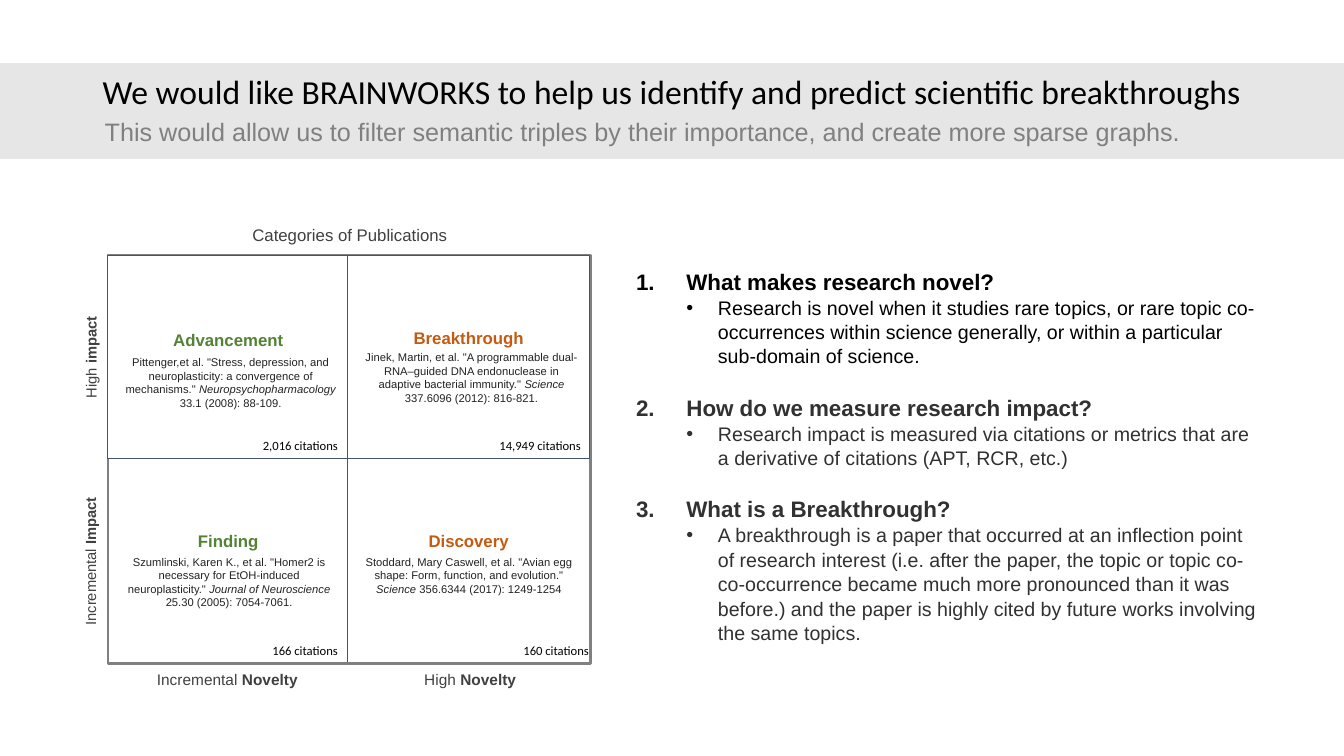
import pptx
import pptx.dml.color
import pptx.enum.shapes
import pptx.enum.text
import pptx.util
import lxml.etree

Pt = pptx.util.Pt
ALIGN = pptx.enum.text.PP_ALIGN
ANCHOR = pptx.enum.text.MSO_ANCHOR

COLORS = {
    "black": "000000", "band": "E7E6E6", "subtitle": "808080", "label": "404040",
    "frame": "808080", "cell_line": "44546A", "white": "FFFFFF", "green": "548235",
    "orange": "C55A11", "citation": "222222", "list": "313131",
}


class SlideBuilder:
    """Holds the style and the current slide."""

    def __init__(self, deck, layout_index):
        self.page = deck.slides.add_slide(deck.slide_layouts[layout_index])

    def color(self, name):
        return pptx.dml.color.RGBColor.from_string(COLORS[name])

    def style(self, font, size, color, bold=False, italic=False, face="Arial"):
        font.name, font.size, font.bold, font.italic = face, Pt(size), bold, italic
        font.color.rgb = self.color(color)

    def place(self, shape, left, top, width, height):
        shape.left, shape.top, shape.width, shape.height = map(Pt, (left, top, width, height))

    def frame(self, shape, anchor, inset=None):
        frame = shape.text_frame
        frame.word_wrap = True
        frame.auto_size = pptx.enum.text.MSO_AUTO_SIZE.NONE
        frame.vertical_anchor = anchor
        if inset is not None:
            frame.margin_left = frame.margin_right = Pt(inset)
            frame.margin_top = frame.margin_bottom = Pt(inset)
        return frame

    def title(self, text, rect, size):
        box = self.page.shapes.title
        self.place(box, *rect)
        frame = self.frame(box, ANCHOR.MIDDLE)
        frame.text = text
        para = frame.paragraphs[0]
        para.alignment, para.line_spacing = ALIGN.LEFT, 0.9
        self.style(para.runs[0].font, size, "black", face="Calibri")

    def rect(self, rect, fill, line, weight):
        shape = self.page.shapes.add_shape(
            pptx.enum.shapes.MSO_SHAPE.RECTANGLE, *map(Pt, rect))
        shape.shadow.inherit = False
        if fill:
            shape.fill.solid()
            shape.fill.fore_color.rgb = self.color(fill)
        else:
            shape.fill.background()
        shape.line.color.rgb = self.color(line)
        shape.line.width = Pt(weight)
        return shape

    def cell(self, rect, name, color, lift):
        shape = self.rect(rect, "white", "cell_line", 0.75)
        frame = self.frame(shape, ANCHOR.MIDDLE, 7.2)
        frame.margin_bottom = Pt(7.2 + lift)
        frame.text = name
        frame.paragraphs[0].alignment = ALIGN.CENTER
        self.style(frame.paragraphs[0].runs[0].font, 12, color, bold=True)

    def text(self, rect, parts, size, color, align=ALIGN.CENTER, face="Arial",
             anchor=ANCHOR.TOP, spacing=None, inset=None, emphasis=None):
        """Write the parts as runs; the second one carries the emphasis."""
        box = self.page.shapes.add_textbox(*map(Pt, rect))
        para = self.frame(box, anchor, inset).paragraphs[0]
        para.alignment = align
        para.line_spacing = spacing
        for index, part in enumerate(parts):
            span = para.add_run()
            span.text = part
            marks = {emphasis: True} if emphasis and index == 1 else {}
            self.style(span.font, size, color, face=face, **marks)
        return box

    def axis_label(self, rect, parts, size, rotation=0):
        box = self.text(rect, parts, size, "label", spacing=1.05, inset=7.2, emphasis="bold")
        box.rotation = rotation

    def bullet(self, para, margin, hang, tag, **attributes):
        props = para._p.get_or_add_pPr()
        props.set("marL", str(Pt(margin)))
        props.set("indent", str(Pt(-hang)))
        space = "{http://schemas.openxmlformats.org/drawingml/2006/main}"
        lxml.etree.SubElement(props, space + "buFont", typeface="Arial")
        lxml.etree.SubElement(props, space + tag, **attributes)

    def questions(self, rect, items):
        box = self.page.placeholders[1]
        self.place(box, *rect)
        frame = self.frame(box, ANCHOR.TOP)
        for index, (question, answer, color) in enumerate(items):
            head = frame.add_paragraph() if index else frame.paragraphs[0]
            head.text = question
            self.bullet(head, 36, 36, "buAutoNum", type="arabicPeriod")
            head.space_before = Pt(18.5 if index else 0)
            self.style(head.runs[0].font, 16, color, bold=True)
            detail = frame.add_paragraph()
            detail.text, detail.level = answer, 1
            self.bullet(detail, 58.5, 22.5, "buChar", char="•")
            detail.space_before, detail.line_spacing = Pt(0), 1.04
            self.style(detail.runs[0].font, 14, color)
        for para in frame.paragraphs:
            para.alignment = ALIGN.LEFT


# Matrix geometry
COLUMNS = (76.7, 248.4)
ROWS = (182.2, 327.6)
CELL = (172.8, 145.4)

# Column, row, name, colour, lift of the name, citation box, citation, count, right edge
CATEGORIES = [
    (0, 1, "Finding", "green", 28, (78.5, 393.1, 170.6, 46.1),
     ('Szumlinski, Karen K., et al. "Homer2 is necessary for EtOH-induced neuroplasticity." ',
      "Journal of Neuroscience", " 25.30 (2005): 7054-7061."), "166 citations", 248.4),
    (1, 1, "Discovery", "orange", 28, (249.8, 393.1, 170.6, 46.1),
     ('Stoddard, Mary Caswell, et al. "Avian egg shape: Form, function, and evolution." ',
      "Science", " 356.6344 (2017): 1249-1254"), "160 citations", 427.7),
    (0, 0, "Advancement", "green", 24, (82.1, 250.6, 165.6, 46.1),
     ('Pittenger,et al. "Stress, depression, and neuroplasticity: a convergence of mechanisms." ',
      "Neuropsychopharmacology", " 33.1 (2008): 88-109."), "2,016 citations", 248.4),
    (1, 0, "Breakthrough", "orange", 27, (253.4, 247, 167, 55.4),
     ('Jinek, Martin, et al. "A programmable dual-RNA–guided DNA endonuclease in adaptive '
      'bacterial immunity." ',
      "Science", " 337.6096 (2012): 816-821."), "14,949 citations", 421.9),
]

QUESTIONS = [
    ("What makes research novel?",
     "Research is novel when it studies rare topics, or rare topic co-occurrences within "
     "science generally, or within a particular sub-domain of science.", "black"),
    ("How do we measure research impact?",
     "Research impact is measured via citations or metrics that are a derivative of "
     "citations (APT, RCR, etc.)", "list"),
    ("What is a Breakthrough?",
     "A breakthrough is a paper that occurred at an inflection point of research interest "
     "(i.e. after the paper, the topic or topic co-co-occurrence became much more pronounced "
     "than it was before.) and the paper is highly cited by future works involving the same "
     "topics.", "list"),
]


def main():
    deck = pptx.Presentation()
    deck.slide_width, deck.slide_height = Pt(960), Pt(540)
    builder = SlideBuilder(deck, 1)

    # Heading band, kept behind the title
    band = builder.rect((0, 45.4, 960, 67.7), "band", "band", 1)
    builder.page.shapes.title.element.addprevious(band.element)
    builder.title("We would like BRAINWORKS to help us identify and predict scientific "
                  "breakthroughs", (66.2, 42.5, 832, 49), 24)
    builder.text((67.7, 70.6, 848.2, 49),
                 ["This would allow us to filter semantic triples by their importance, "
                  "and create more sparse graphs."],
                 18, "subtitle", ALIGN.LEFT, anchor=ANCHOR.MIDDLE, spacing=0.9)

    # Matrix: lower cells, outer frame, upper cells
    builder.text((167, 157, 166, 21.6), ["Categories of Publications"], 12, "label")
    for column, row, name, color, lift, *_ in CATEGORIES:
        if (column, row) == (0, 0):
            builder.rect((77, 182.2, 344.9, 291.6), None, "frame", 1.75)
        builder.cell((COLUMNS[column], ROWS[row], *CELL), name, color, lift)

    # Citations and their counts
    for _, row, _, _, _, rect, citation, count, right in CATEGORIES:
        builder.text(rect, citation, 8, "citation", emphasis="italic")
        builder.text((right - 90, (308.9, 455.8)[row], 90, 18), [count], 9, "black",
                     ALIGN.RIGHT, face="Calibri")

    # Axis labels
    builder.axis_label((-5.8, 239.8, 144, 31), ("High ", "impact"), 10.5, 270)
    builder.axis_label((-5.8, 387.4, 139.7, 27.4), ("Incremental ", "Impact"), 10.5, 270)
    for left, word in zip((76.3, 249.8), ("Incremental ", "High ")):
        builder.axis_label((left, 470.9, 172.1, 43.2), (word, "Novelty"), 11)

    # Questions and answers
    builder.questions((447.1, 187.6, 462.2, 272), QUESTIONS)
    deck.save("out.pptx")


if __name__ == "__main__":
    main()
